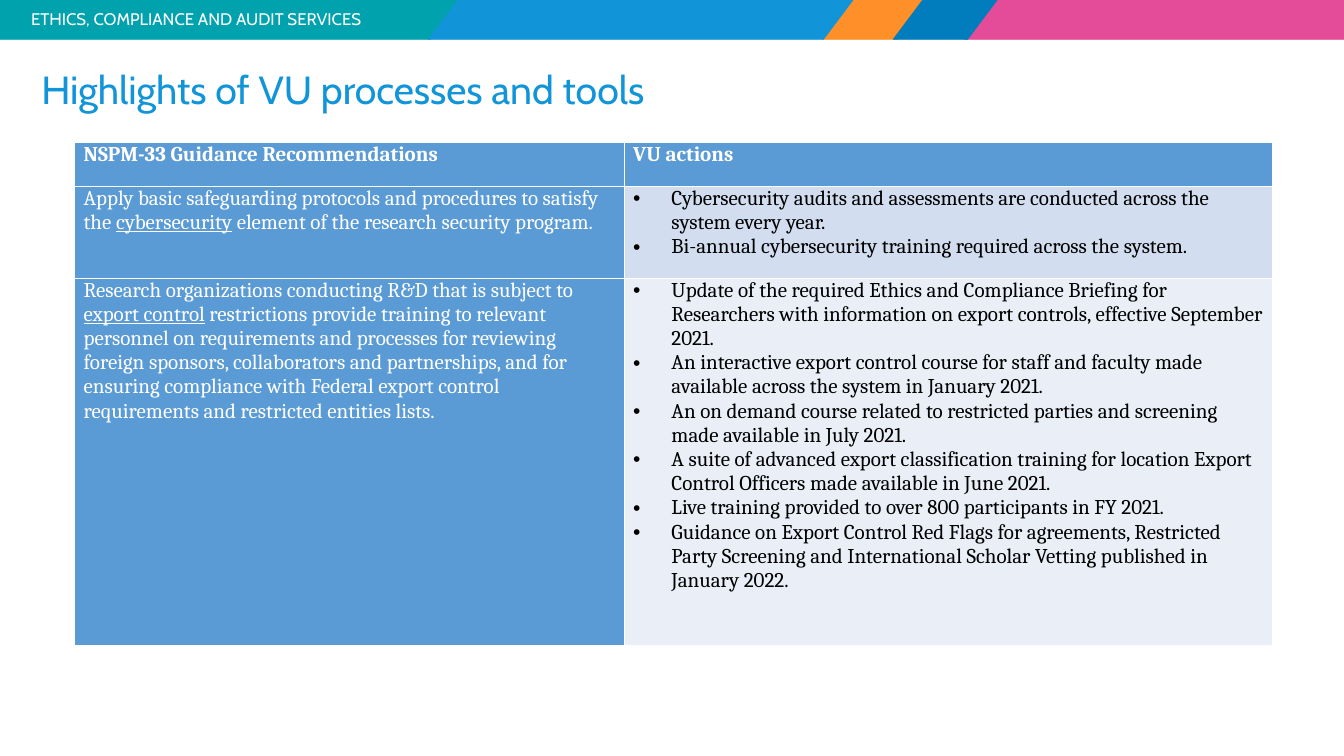
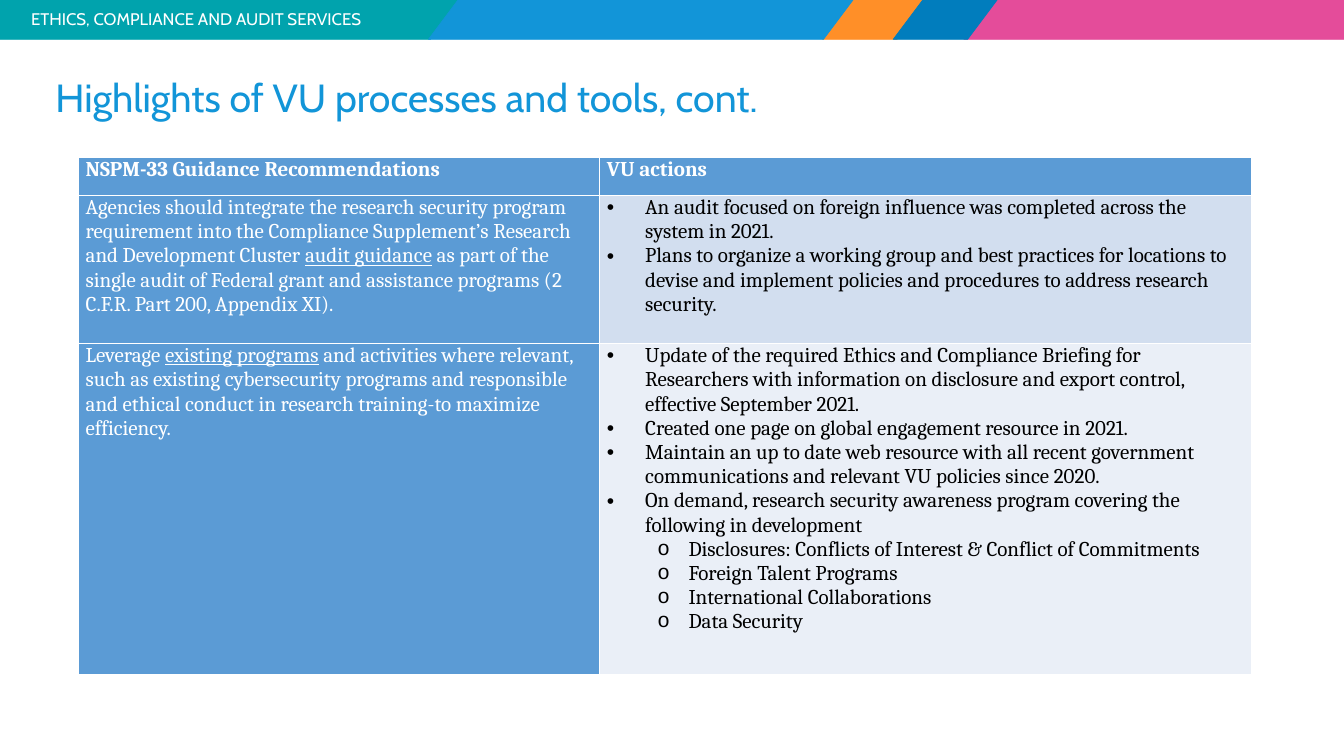
from lxml import etree
from pptx import Presentation
from pptx import util as u
from pptx.dml.color import RGBColor
from pptx.enum import shapes, text
from pptx.oxml import ns

COLORS = {
    "teal": "00A3AD", "blue": "1295D8", "orange": "FF8F28", "navy": "017DBD",
    "pink": "E44C9A", "white": "FFFFFF", "black": "000000",
    "header": "5B9BD5", "light": "D2DEEF", "pale": "EAEFF7",
}
WIDTH, HEIGHT = 13.33, 7.5
BAND_HEIGHT, SLANT = 0.39, 0.75
BANNER = "ETHICS, COMPLIANCE AND AUDIT SERVICES"
HEADINGS = ("NSPM-33 Guidance Recommendations", "VU actions")

# Content: *text* is underlined, a leading "> " marks a second-level bullet
SLIDES = [
    {
        "title": "Highlights of VU processes and tools",
        "title_box": (0.31, 0.31, 12.58, 1.2),
        "origin": (0.74, 1.41), "columns": (5.45, 6.43),
        "rows": (0.44, 0.91, 3.65), "margin": 0.09,
        "body": [
            ("Apply basic safeguarding protocols and procedures to satisfy the "
             "*cybersecurity* element of the research security program.",
             ["Cybersecurity audits and assessments are conducted across the system every year.",
              "Bi-annual cybersecurity training required across the system."]),
            ("Research organizations conducting R&D that is subject to *export control* "
             "restrictions provide training to relevant personnel on requirements and "
             "processes for reviewing foreign sponsors, collaborators and partnerships, "
             "and for ensuring compliance with Federal export control requirements and "
             "restricted entities lists.",
             ["Update of the required Ethics and Compliance Briefing for Researchers with "
              "information on export controls, effective September 2021.",
              "An interactive export control course for staff and faculty made available "
              "across the system in January 2021.",
              "An on demand course related to restricted parties and screening made "
              "available in July 2021.",
              "A suite of advanced export classification training for location Export "
              "Control Officers made available in June 2021.",
              "Live training provided to over 800 participants in FY 2021.",
              "Guidance on Export Control Red Flags for agreements, Restricted Party "
              "Screening and International Scholar Vetting published in January 2022."]),
        ],
    },
    {
        "title": "Highlights of VU processes and tools, cont.",
        "title_box": (0.45, 0.39, 12.47, 1.2),
        "origin": (0.78, 1.56), "columns": (5.17, 6.46),
        "rows": (0.38, 1.47, 3.28), "margin": 0.07,
        "body": [
            ("Agencies should integrate the research security program requirement into the "
             "Compliance Supplement’s Research and Development Cluster *audit guidance* as "
             "part of the single audit of Federal grant and assistance programs (2 C.F.R. "
             "Part 200, Appendix XI).",
             ["An audit focused on foreign influence was completed across the system in 2021.",
              "Plans to organize a working group and best practices for locations to devise "
              "and implement policies and procedures to address research security."]),
            ("Leverage *existing programs* and activities where relevant, such as existing "
             "cybersecurity programs and responsible and ethical conduct in research "
             "training-to maximize efficiency.",
             ["Update of the required Ethics and Compliance Briefing for Researchers with "
              "information on disclosure and export control, effective September 2021.",
              "Created one page on global engagement resource in 2021.",
              "Maintain an up to date web resource with all recent government "
              "communications and relevant VU policies since 2020.",
              "On demand, research security awareness program covering the following in "
              "development",
              "> Disclosures: Conflicts of Interest & Conflict of Commitments",
              "> Foreign Talent Programs",
              "> International Collaborations",
              "> Data Security"]),
        ],
    },
]

# Bullet levels: left margin, indent, character, bullet font
BULLETS = [(0.38, -0.38, "•", "Arial"), (0.81, -0.31, "o", "Courier New")]

# Top band, back to front: a list of corners, or left and width of a parallelogram
BAND_PIECES = [
    ("pink", [(9.56, BAND_HEIGHT), (9.8, 0), (WIDTH, 0), (WIDTH, BAND_HEIGHT)]),
    ("orange", (8.16, 1.03)),
    ("teal", [(0, BAND_HEIGHT), (0, 0), (4.55, 0), (4.27, BAND_HEIGHT)]),
    ("blue", (4.25, 4.21)),
    ("navy", (8.86, 1.03)),
]


def rgb(name):
    return RGBColor.from_string(COLORS[name])


def inches(values):
    return [u.Inches(value) for value in values]


def set_all(target, **values):
    for name, value in values.items():
        setattr(target, name, value)


def add_run(paragraph, words, font, size, color, bold=False, underline=False):
    run = paragraph.add_run()
    run.text = words
    set_all(run.font, name=font, size=u.Pt(size), bold=bold, underline=underline)
    run.font.color.rgb = rgb(color)


def add_band(slide, layout):
    """Draw the top band once and move it to the layout the slides share."""
    parts = []
    for color, outline in BAND_PIECES:
        if isinstance(outline, list):
            corners = [inches(corner) for corner in outline]
            builder = slide.shapes.build_freeform(*corners[0], scale=1.0)
            builder.add_line_segments(corners[1:], close=True)
            shape = builder.convert_to_shape()
        else:
            left, width = outline
            shape = slide.shapes.add_shape(
                shapes.MSO_SHAPE.PARALLELOGRAM, *inches((left, 0, width, BAND_HEIGHT)))
            shape.adjustments[0] = SLANT
        shape.shadow.inherit = False
        shape.fill.solid()
        shape.fill.fore_color.rgb = shape.line.color.rgb = rgb(color)
        shape.line.width = u.Pt(0.5)
        parts.append(shape)
    banner = slide.shapes.add_textbox(*inches((0.21, 0.04, 3.81, 0.3)))
    banner.text_frame.word_wrap = True
    add_run(banner.text_frame.paragraphs[0], BANNER, "Cabin", 12, "white")
    for part in parts + [banner]:
        layout.element.cSld.spTree.append(part.element)


def add_title(slide, content):
    title = slide.shapes.title
    set_all(title, **dict(zip(("left", "top", "width", "height"),
                              inches(content["title_box"]))))
    set_all(title.text_frame, word_wrap=True, auto_size=text.MSO_AUTO_SIZE.NONE,
            vertical_anchor=text.MSO_ANCHOR.MIDDLE)
    paragraph = title.text_frame.paragraphs[0]
    set_all(paragraph, alignment=text.PP_ALIGN.LEFT, line_spacing=0.9)
    add_run(paragraph, content["title"], "Cabin", 28, "blue")


def add_bullet(paragraph, level):
    left, indent, character, font = BULLETS[level]
    paragraph.level = level
    properties = paragraph._p.get_or_add_pPr()
    properties.set("marL", str(u.Inches(left)))
    properties.set("indent", str(u.Inches(indent)))
    etree.SubElement(properties, ns.qn("a:buFont"), typeface=font)
    etree.SubElement(properties, ns.qn("a:buChar"), char=character)


def add_borders(cell):
    properties = cell._tc.get_or_add_tcPr()
    for position, side in enumerate("LRTB"):
        line = etree.Element(ns.qn(f"a:ln{side}"), w=str(u.Pt(1)))
        fill = etree.SubElement(line, ns.qn("a:solidFill"))
        etree.SubElement(fill, ns.qn("a:srgbClr"), val=COLORS["white"])
        properties.insert(position, line)


def fill_cell(cell, lines, margin, fill, color, bold=False, bulleted=False):
    set_all(cell, margin_left=u.Inches(margin), margin_right=u.Inches(margin),
            margin_top=0, margin_bottom=0)
    cell.fill.solid()
    cell.fill.fore_color.rgb = rgb(fill)
    add_borders(cell)
    frame = cell.text_frame
    for number, line in enumerate(lines):
        paragraph = frame.add_paragraph() if number else frame.paragraphs[0]
        if bulleted:
            add_bullet(paragraph, int(line.startswith("> ")))
        for part, words in enumerate(line.removeprefix("> ").split("*")):
            add_run(paragraph, words, "Cambria", 15, color, bold, part % 2 == 1)


def add_actions_table(slide, content):
    columns, rows, margin = content["columns"], content["rows"], content["margin"]
    table = slide.shapes.add_table(
        len(rows), len(columns),
        *inches((*content["origin"], sum(columns), sum(rows)))).table
    for column, width in zip(table.columns, columns):
        column.width = u.Inches(width)
    for row, height in zip(table.rows, rows):
        row.height = u.Inches(height)
    for column, heading in enumerate(HEADINGS):
        fill_cell(table.cell(0, column), [heading], margin, "header", "white", bold=True)
    for row, (recommendation, actions) in enumerate(content["body"], 1):
        fill_cell(table.cell(row, 0), [recommendation], margin, "header", "white")
        fill_cell(table.cell(row, 1), actions, margin,
                  "light" if row % 2 else "pale", "black", bulleted=True)


def main():
    presentation = Presentation()
    set_all(presentation, slide_width=u.Inches(WIDTH), slide_height=u.Inches(HEIGHT))
    layout = presentation.slide_layouts.get_by_name("Title Only")
    for number, content in enumerate(SLIDES):
        slide = presentation.slides.add_slide(layout)
        if number == 0:
            add_band(slide, layout)
        add_title(slide, content)
        add_actions_table(slide, content)
    presentation.save("out.pptx")


if __name__ == "__main__":
    main()
